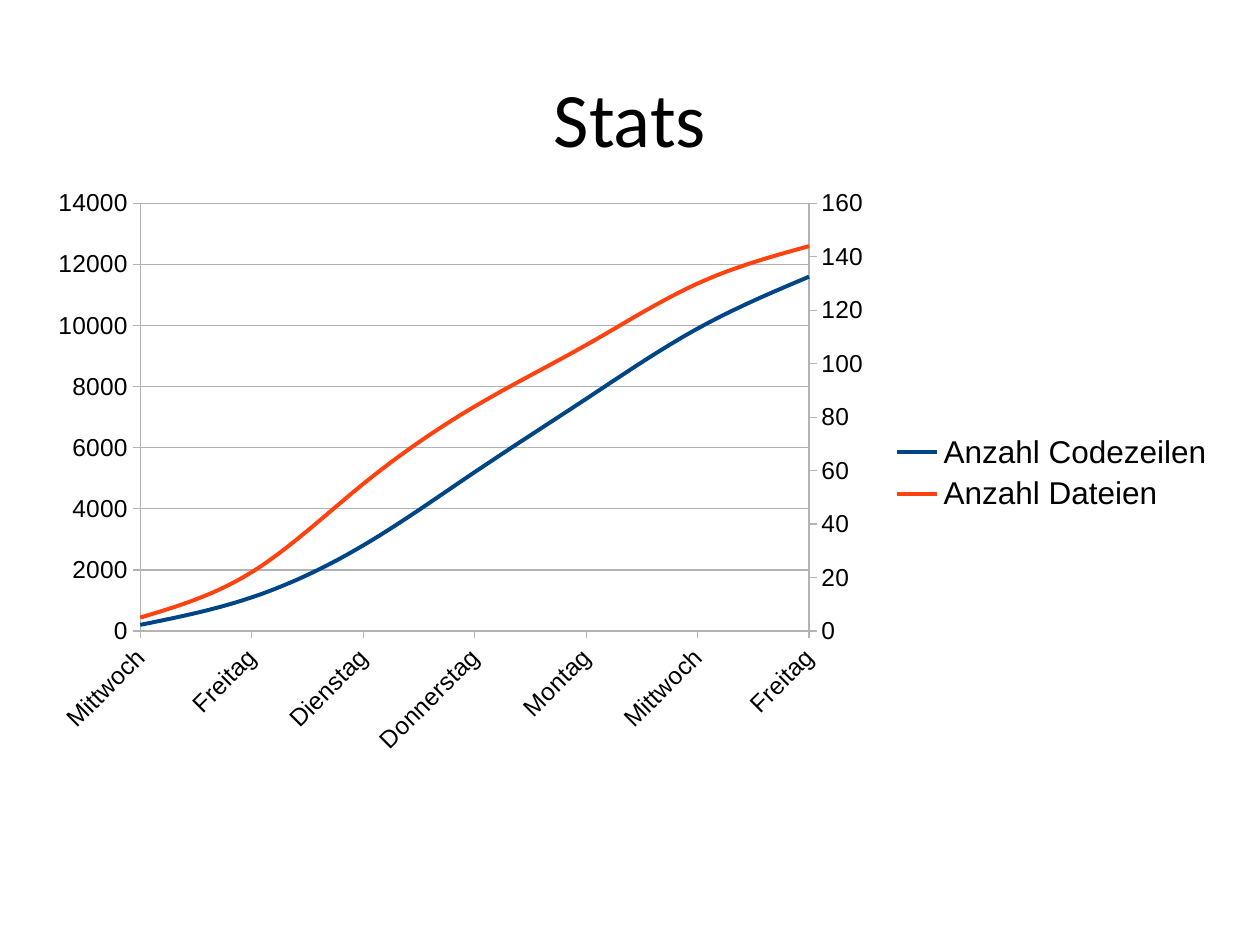
from copy import deepcopy

from lxml import etree
from pptx import Presentation
from pptx.chart.data import CategoryChartData
from pptx.dml.color import RGBColor
from pptx.enum.chart import XL_CHART_TYPE, XL_LEGEND_POSITION, XL_TICK_MARK
from pptx.enum.text import MSO_ANCHOR, PP_ALIGN
from pptx.oxml.ns import qn
from pptx.util import Cm, Pt

LINE = XL_CHART_TYPE.LINE
RIGHT = XL_LEGEND_POSITION.RIGHT
OUT = XL_TICK_MARK.OUTSIDE
NONE = XL_TICK_MARK.NONE
MIDDLE = MSO_ANCHOR.MIDDLE
CENTER = PP_ALIGN.CENTER

BLACK = RGBColor(0x00, 0x00, 0x00)
GREY = RGBColor(0xB3, 0xB3, 0xB3)
BLUE = RGBColor(0x00, 0x45, 0x86)
ORANGE = RGBColor(0xFF, 0x42, 0x0E)

DAYS = ["Mittwoch", "Freitag", "Dienstag", "Donnerstag",
        "Montag", "Mittwoch", "Freitag"]
SERIES = [
    ("Anzahl Codezeilen", [200, 1100, 2800, 5200, 7600, 9900, 11600], BLUE),
    ("Anzahl Dateien", [5, 22, 55, 84, 107, 130, 144], ORANGE),
]
PLOT = {"x": 0.09, "y": 0.04, "w": 0.56, "h": 0.73}


def put(node, tag, val):
    node.find(qn("c:" + tag)).set("val", str(val))


class Deck:
    def __init__(self, slide):
        self.slide = slide
        self.head = "Calibri"
        self.body = "Arial"

    def font(self, font, size, name):
        font.size = Pt(size)
        font.name = name
        font.color.rgb = BLACK

    def title(self, text, x, y, w, h):
        box = self.slide.shapes.add_textbox(Cm(x), Cm(y), Cm(w), Cm(h))
        frame = box.text_frame
        frame.word_wrap = True
        frame.vertical_anchor = MIDDLE
        para = frame.paragraphs[0]
        para.alignment = CENTER
        run = para.add_run()
        run.text = text
        self.font(run.font, 44, self.head)

    def chart(self, days, series, x, y, w, h):
        data = CategoryChartData()
        data.categories = days
        for name, vals, _ in series:
            data.add_series(name, vals)
        chart = self.slide.shapes.add_chart(
            LINE, Cm(x), Cm(y), Cm(w), Cm(h), data).chart
        chart.has_title = False
        self.font(chart.font, 10, self.body)
        chart.has_legend = True
        chart.legend.position = RIGHT
        chart.legend.include_in_layout = False
        self.font(chart.legend.font, 18, self.body)
        for line, (_, _, color) in zip(chart.plots[0].series, series):
            line.smooth = True
            line.format.line.color.rgb = color
            line.format.line.width = Pt(2.27)
        self.axes(chart)
        self.layout(chart)
        self.second(chart)

    def axes(self, chart):
        cat, val = chart.category_axis, chart.value_axis
        for axis in (cat, val):
            axis.major_tick_mark = OUT
            axis.minor_tick_mark = NONE
            axis.format.line.color.rgb = GREY
            axis.format.line.width = Pt(0)
            self.font(axis.tick_labels.font, 14, self.body)
        cat.has_major_gridlines = False
        val.has_major_gridlines = True
        val.major_gridlines.format.line.color.rgb = GREY
        val.major_gridlines.format.line.width = Pt(0)
        val.minimum_scale, val.maximum_scale, val.major_unit = 0, 14000, 2000
        cat._element.find(qn("c:txPr")).find(qn("a:bodyPr")).set(
            "rot", "-2700000")
        # Points sit on the tick marks
        node = val._element
        cross = node.find(qn("c:crossBetween"))
        if cross is None:
            cross = etree.Element(qn("c:crossBetween"))
            node.find(qn("c:crosses")).addnext(cross)
        cross.set("val", "midCat")

    def layout(self, chart):
        """Fix the inner plot area to the shares in PLOT."""
        area = chart._chartSpace.chart.plotArea
        old = area.find(qn("c:layout"))
        if old is not None:
            area.remove(old)
        frame = etree.Element(qn("c:layout"))
        area.insert(0, frame)
        man = etree.SubElement(frame, qn("c:manualLayout"))
        parts = [("layoutTarget", "inner"), ("xMode", "edge"),
                 ("yMode", "edge"), *PLOT.items()]
        for tag, val in parts:
            etree.SubElement(man, qn("c:" + tag)).set("val", str(val))

    def second(self, chart):
        """Move the last series to a value axis on the right."""
        cat, val = chart.category_axis._element, chart.value_axis._element
        first = chart.plots[0]._element
        twin = deepcopy(first)
        first.remove(first.findall(qn("c:ser"))[-1])
        twin.remove(twin.findall(qn("c:ser"))[0])
        first.addnext(twin)
        for node, num in zip(twin.findall(qn("c:axId")), (501, 502)):
            node.set("val", str(num))

        side, base = deepcopy(val), deepcopy(cat)
        val.addnext(side)
        side.addnext(base)
        for node, own, other in ((base, 501, 502), (side, 502, 501)):
            put(node, "axId", own)
            put(node, "crossAx", other)
        put(base, "delete", 1)
        put(side, "axPos", "r")
        put(side, "crosses", "max")
        put(side, "majorUnit", 20)
        put(side.find(qn("c:scaling")), "max", 160)
        side.remove(side.find(qn("c:majorGridlines")))


def main():
    prs = Presentation()
    prs.slide_width, prs.slide_height = Cm(25.4), Cm(19.05)
    deck = Deck(prs.slides.add_slide(prs.slide_layouts[6]))
    deck.title("Stats", 1.27, 0.76, 22.86, 3.18)
    deck.chart(DAYS, SERIES, 0.66, 3.63, 24.08, 11.81)
    prs.save("out.pptx")


if __name__ == "__main__":
    main()
